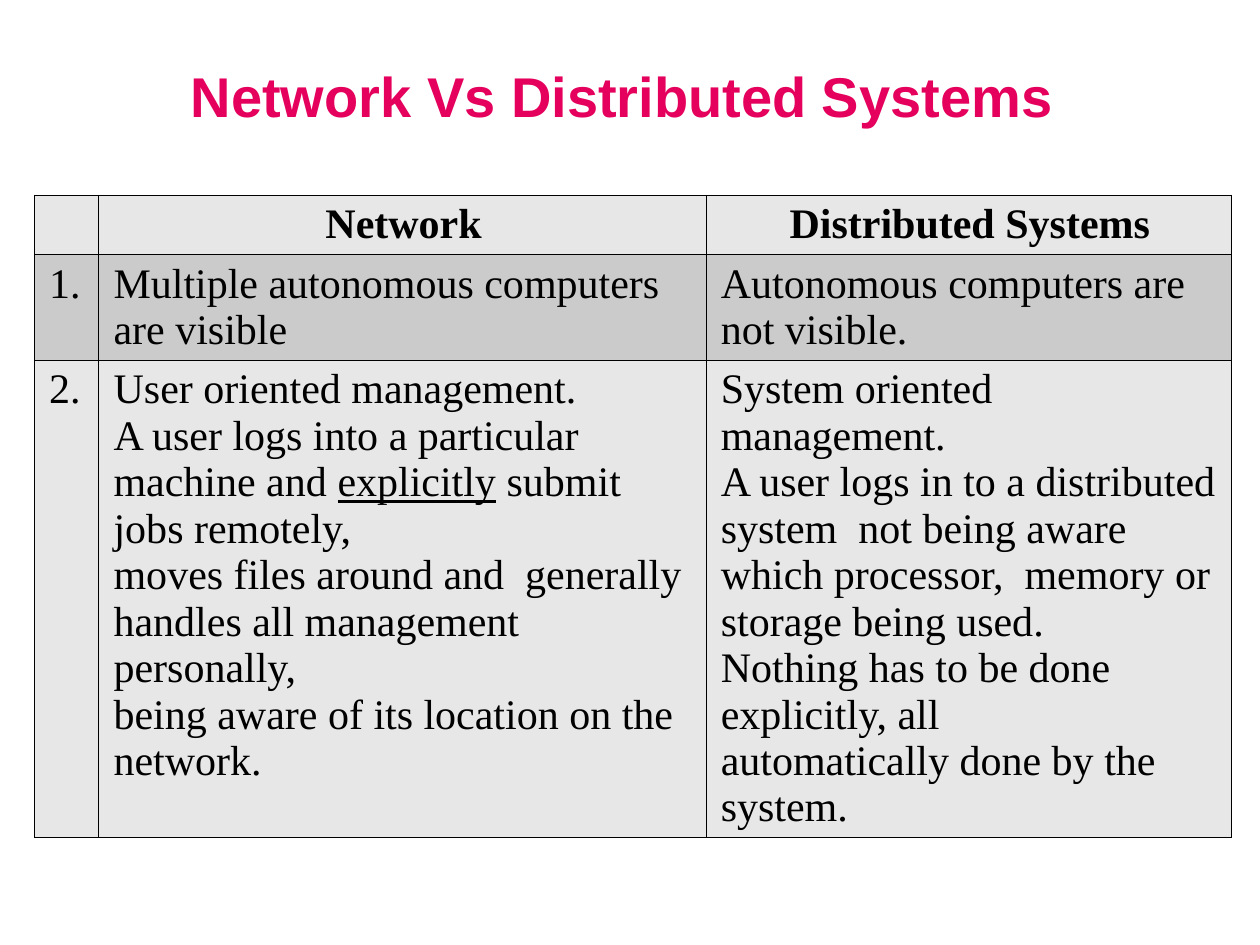
import pptx
import pptx.dml.color
import pptx.enum.text
import pptx.oxml
import pptx.util
from pptx.util import Cm

RGB = pptx.dml.color.RGBColor.from_string
CENTER = pptx.enum.text.PP_ALIGN.CENTER
LEFT = pptx.enum.text.PP_ALIGN.LEFT

THEME = {
    "title": {"name": "Arial", "size": pptx.util.Pt(32), "bold": True},
    "header": {"name": "Times New Roman", "size": pptx.util.Pt(24), "bold": True},
    "body": {"name": "Times New Roman", "size": pptx.util.Pt(24), "bold": False},
    "title_color": "E4005C",
    "text_color": "000000",
    "border_color": "000000",
    "border_width": pptx.util.Pt(0.45),
    "row_fills": ["E7E7E7", "CBCBCB"],
}
CELL_MARGINS = {
    "margin_left": Cm(0.3),
    "margin_right": Cm(0.25),
    "margin_top": Cm(0.13),
    "margin_bottom": Cm(0.13),
}
COLUMN_WIDTHS = [1.3, 12.24, 10.59]
ROW_HEIGHTS = [1.04, 2.03, 9.14]
UNDERLINED = "explicitly"
COMPARISON = [
    [[], ["Network"], ["Distributed Systems"]],
    [
        ["1."],
        ["Multiple autonomous computers are visible"],
        ["Autonomous computers are not visible."],
    ],
    [
        ["2."],
        [
            "User oriented management.",
            ("A user logs into a particular machine and ", UNDERLINED, " submit  jobs remotely,"),
            "moves files around and  generally handles all management personally,",
            "being aware of its location on the network.",
        ],
        [
            "System oriented management.",
            "A user logs in to a distributed system  not being aware "
            "which processor,  memory or storage being used.",
            "Nothing has to be done explicitly, all",
            "automatically done by the system.",
        ],
    ],
]


def write(frame, lines, style, color, alignment):
    for index, line in enumerate(lines):
        paragraph = frame.add_paragraph() if index else frame.paragraphs[0]
        paragraph.alignment = alignment
        for part in (line,) if isinstance(line, str) else line:
            run = paragraph.add_run()
            run.text = part
            for attribute, value in style.items():
                setattr(run.font, attribute, value)
            run.font.color.rgb = RGB(color)
            if part == UNDERLINED:
                run.font.underline = True


def add_borders(cell):
    properties = cell._tc.get_or_add_tcPr()
    for side in ("lnL", "lnR", "lnT", "lnB"):
        properties.append(pptx.oxml.parse_xml(
            f'<a:{side} xmlns:a="http://schemas.openxmlformats.org/drawingml/2006/main" '
            f'w="{THEME["border_width"]}"><a:solidFill>'
            f'<a:srgbClr val="{THEME["border_color"]}"/></a:solidFill></a:{side}>'
        ))


presentation = pptx.Presentation()
presentation.slide_width = Cm(25.4)
presentation.slide_height = Cm(19.05)
slide = presentation.slides.add_slide(presentation.slide_layouts[6])

comparison = slide.shapes.add_table(
    len(ROW_HEIGHTS), len(COLUMN_WIDTHS),
    Cm(0.69), Cm(3.93), Cm(sum(COLUMN_WIDTHS)), Cm(sum(ROW_HEIGHTS)),
).table
for column, width in zip(comparison.columns, COLUMN_WIDTHS):
    column.width = Cm(width)
for row, height in zip(comparison.rows, ROW_HEIGHTS):
    row.height = Cm(height)

for row_index, entries in enumerate(COMPARISON):
    style, alignment = (THEME["body"], LEFT) if row_index else (THEME["header"], CENTER)
    for column_index, lines in enumerate(entries):
        cell = comparison.cell(row_index, column_index)
        for attribute, value in CELL_MARGINS.items():
            setattr(cell, attribute, value)
        add_borders(cell)
        cell.fill.solid()
        cell.fill.fore_color.rgb = RGB(THEME["row_fills"][row_index % 2])
        write(cell.text_frame, lines, style, THEME["text_color"], alignment)

heading = slide.shapes.add_textbox(Cm(1.27), Cm(0.33), Cm(22.86), Cm(3.18)).text_frame
heading.word_wrap = True
heading.vertical_anchor = pptx.enum.text.MSO_ANCHOR.MIDDLE
write(heading, ["Network Vs Distributed Systems "], THEME["title"], THEME["title_color"], CENTER)

presentation.save("out.pptx")
